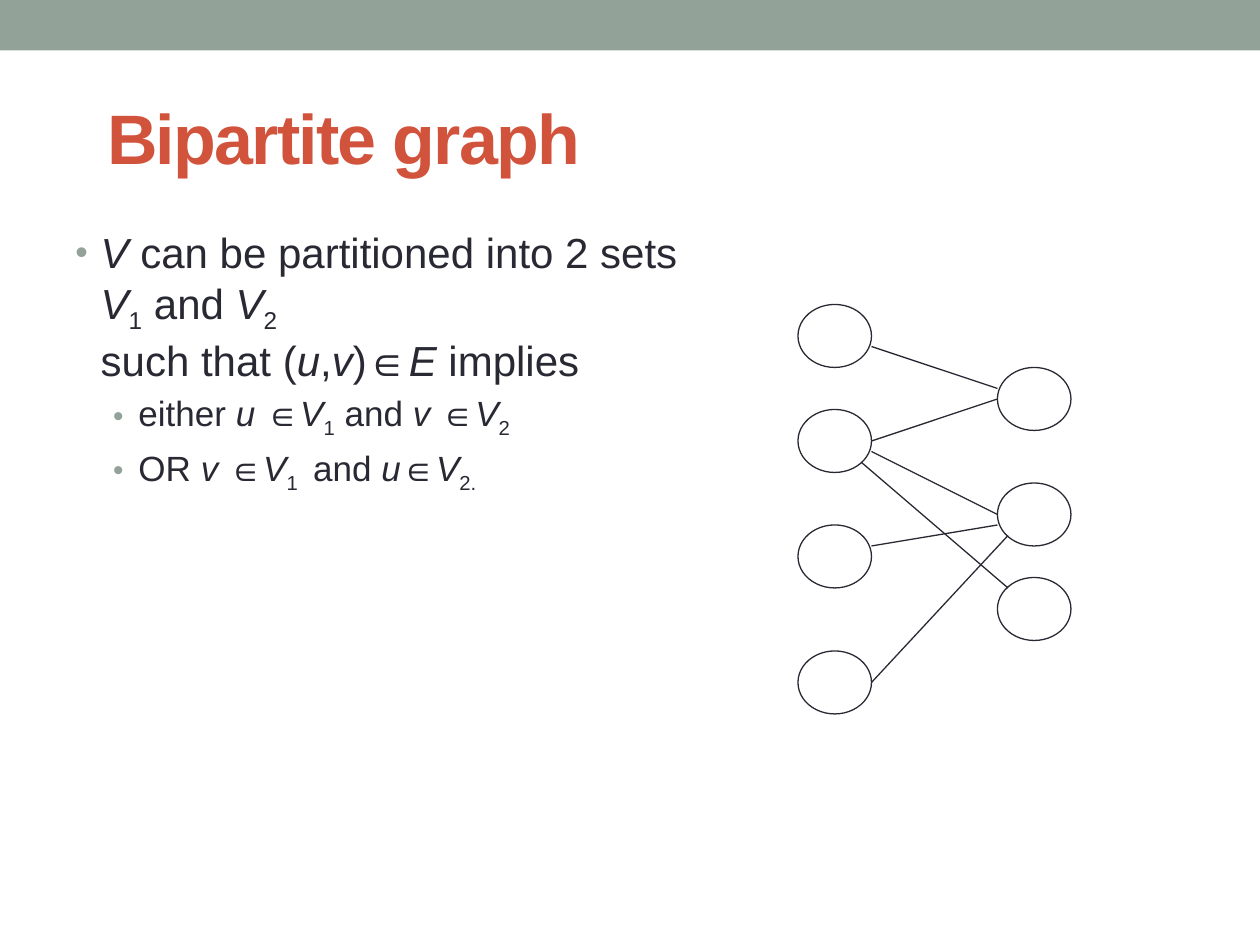
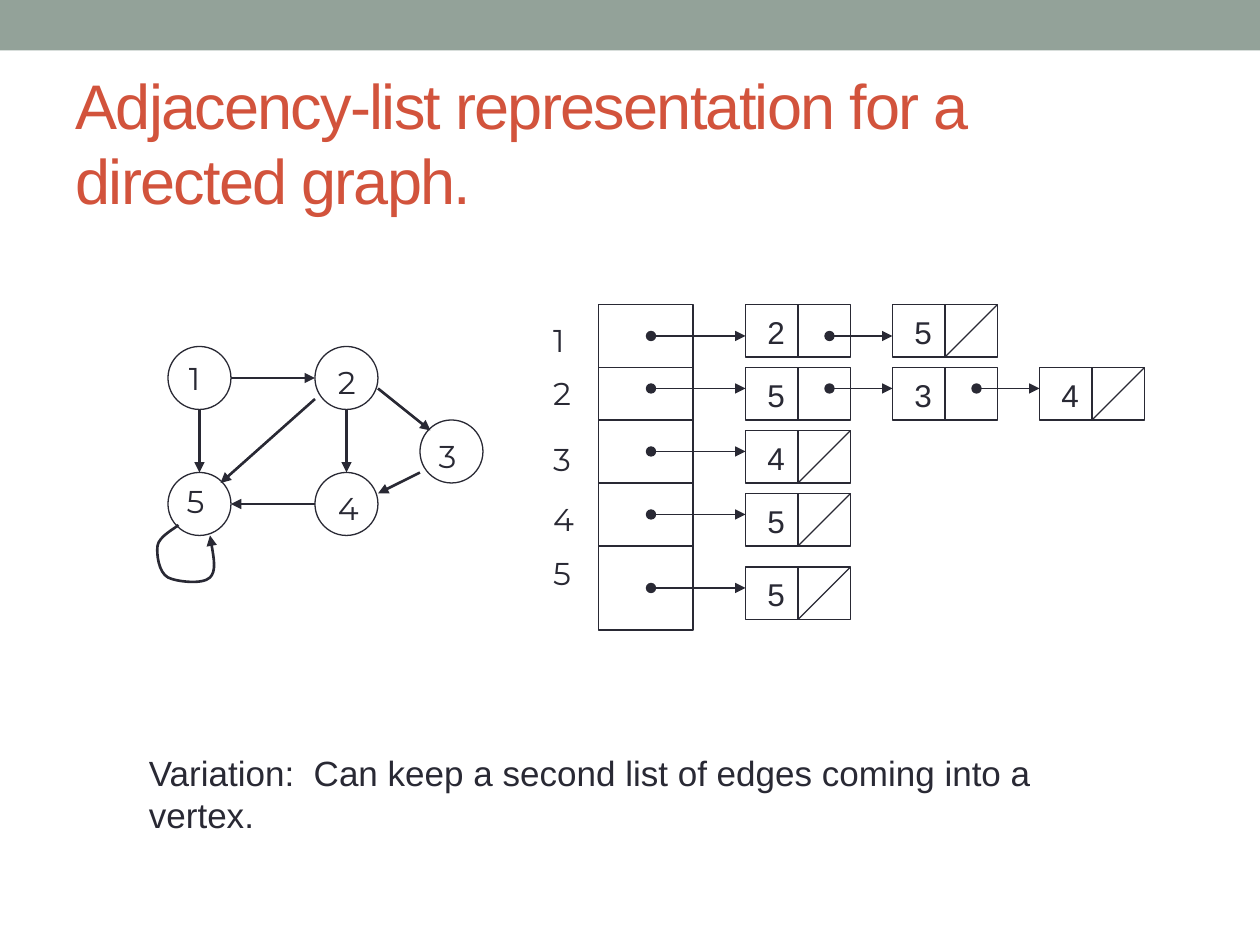
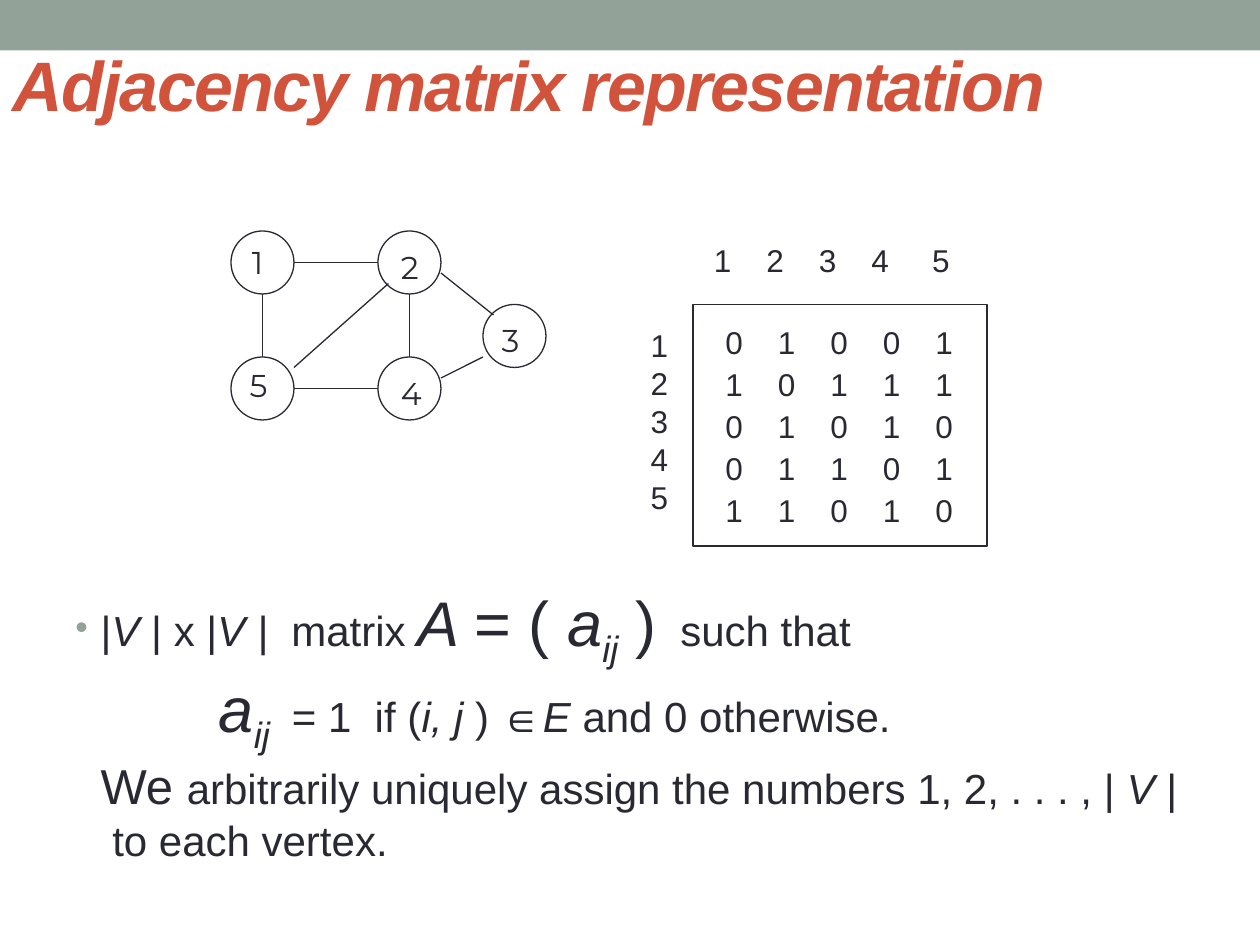
from lxml.etree import SubElement
from pptx import Presentation
from pptx.dml.color import RGBColor
from pptx.enum.shapes import MSO_CONNECTOR, MSO_SHAPE
from pptx.enum.text import MSO_ANCHOR, MSO_AUTO_SIZE, PP_ALIGN
from pptx.oxml.ns import qn
from pptx.util import Cm, Pt

COLORS = {"ink": "292934", "title": "D2533C", "band": "93A299"}
TEXT_FONT = "Arial"
NODE_FONT = "Montserrat"
NODE_PLACES = {"1": (0, 0), "2": (14, 0), "3": (24, 7), "4": (14, 12), "5": (0, 12)}
NODE_LABELS = {"1": (0.8, 0.6), "2": (1, 1), "3": (0.6, 1), "4": (1, 1), "5": (0.6, 0.3)}


def grid(steps):
    return Cm(steps * 2.54 / 12)


def color(name):
    return RGBColor.from_string(COLORS[name])


def set_font(font, size, name=TEXT_FONT, ink="ink"):
    font.name = name
    font.size = Pt(size)
    font.color.rgb = color(ink)


def outline(shape, width=0.75):
    shape.shadow.inherit = False
    shape.fill.background()
    shape.line.color.rgb = color("ink")
    shape.line.width = Pt(width)


def add_arrowheads(shape, head=None, tail=None):
    line = shape.line._get_or_add_ln()
    for tag, kind in (("a:headEnd", head), ("a:tailEnd", tail)):
        if kind:
            SubElement(line, qn(tag), type=kind)


def add_outlined(slide, preset, x, y, width, height):
    shape = slide.shapes.add_shape(preset, grid(x), grid(y), grid(width), grid(height))
    outline(shape)


def add_line(slide, x, y, start, end, width=0.75, head=None, tail=None):
    connector = slide.shapes.add_connector(
        MSO_CONNECTOR.STRAIGHT,
        grid(x + start[0]), grid(y + start[1]), grid(x + end[0]), grid(y + end[1]))
    connector.line.color.rgb = color("ink")
    connector.line.width = Pt(width)
    add_arrowheads(connector, head, tail)
    SubElement(connector.element.spPr, qn("a:effectLst"))


def add_tabs(paragraph, stops):
    tabs = SubElement(paragraph._p.get_or_add_pPr(), qn("a:tabLst"))
    for stop in stops:
        SubElement(tabs, qn("a:tab"), pos=str(grid(stop)), algn="l")


def add_text(slide, x, y, width, height, lines, size=18, font=TEXT_FONT, stops=()):
    box = slide.shapes.add_textbox(grid(x), grid(y), grid(width), grid(height))
    frame = box.text_frame
    frame.word_wrap = bool(stops)
    for index, line in enumerate(lines):
        paragraph = frame.add_paragraph() if index else frame.paragraphs[0]
        paragraph.text = line
        if stops:
            add_tabs(paragraph, stops)
        set_font(paragraph.font, size, font)


def add_bullet(paragraph, indent):
    props = paragraph._p.get_or_add_pPr()
    props.set("marL", str(Cm(indent)))
    props.set("indent", str(Cm(-0.51)))
    bullet_color = SubElement(props, qn("a:buClr"))
    SubElement(bullet_color, qn("a:srgbClr"), val=COLORS["band"])
    SubElement(props, qn("a:buSzPct"), val="85000")
    SubElement(props, qn("a:buFont"), typeface=TEXT_FONT)
    SubElement(props, qn("a:buChar"), char="•")


def add_body(slide, x, y, width, height, bullets, stops=()):
    box = slide.shapes.add_textbox(grid(x), grid(y), grid(width), grid(height))
    frame = box.text_frame
    frame.word_wrap = True
    for index, (indent, size, pieces) in enumerate(bullets):
        paragraph = frame.add_paragraph() if index else frame.paragraphs[0]
        paragraph.space_before = Pt(size * 0.2)
        add_bullet(paragraph, indent)
        if stops:
            add_tabs(paragraph, stops)
        set_font(paragraph.font, size)
        for words, style, *own_size in pieces:
            if words == "\v":
                paragraph.add_line_break()
                continue
            run = paragraph.add_run()
            run.text = words
            if "i" in style:
                run.font.italic = True
            if "s" in style:
                run.font._element.set("baseline", "-25000")
            if own_size:
                run.font.size = Pt(own_size[0])


def add_band(layout, slide):
    band = slide.shapes.add_shape(MSO_SHAPE.RECTANGLE, 0, 0, grid(120), Cm(1.02))
    band.shadow.inherit = False
    band.fill.solid()
    band.fill.fore_color.rgb = color("band")
    band.line.fill.background()
    layout.shapes.element.insert(2, band.element)


def add_title(slide, x, y, width, height, words, size, bold=False, italic=False):
    title = slide.shapes.title
    title.left, title.top = grid(x), grid(y)
    title.width, title.height = grid(width), grid(height)
    frame = title.text_frame
    frame.text = words
    frame.word_wrap = True
    frame.auto_size = MSO_AUTO_SIZE.NONE
    frame.vertical_anchor = MSO_ANCHOR.MIDDLE
    paragraph = frame.paragraphs[0]
    paragraph.alignment = PP_ALIGN.LEFT
    set_font(paragraph.font, size, ink="title")
    paragraph.font.bold = bold
    paragraph.font.italic = italic
    paragraph.font._element.set("spc", "-100")


def add_bipartite_graph(slide, x, y):
    for column, tops in ((0, (0, 10, 21, 33)), (19, (6, 17, 26))):
        for top in tops:
            add_outlined(slide, MSO_SHAPE.OVAL, x + column, y + top, 7, 6)
    edges = (((7, 4), (19, 8)), ((19, 9), (7, 13)), ((7, 36), (20, 22)),
             ((7, 23), (19, 21)), ((7, 14), (19, 20)), ((6, 15), (20, 27)))
    for start, end in edges:
        add_line(slide, x, y, start, end)


def add_five_node_graph(slide, x, y, diagonal, directed):
    for left, top in NODE_PLACES.values():
        add_outlined(slide, MSO_SHAPE.OVAL, x + left, y + top, 6, 6)
    edges = (diagonal, ((3, 6), (3, 12)), ((6, 3), (14, 3)), ((14, 15), (6, 15)),
             ((17, 6), (17, 12)), ((20, 4), (25, 8)), ((24, 12), (20, 14)))
    for start, end in edges:
        add_line(slide, x, y, start, end, 1.5 if directed else 0.75,
                 tail="triangle" if directed else None)
    for number, (left, top) in NODE_PLACES.items():
        dx, dy = NODE_LABELS[number]
        add_text(slide, x + left + dx, y + top + dy, 4.4, 4.8, [number], font=NODE_FONT)


def add_self_loop(slide, x, y):
    points = [(4, 18), (4.3, 19.7), (4.6, 21.4), (4, 22), (3.3, 22.7), (0.8, 22.4),
              (0, 22), (-0.9, 21.5), (-1.1, 19.8), (-1, 19), (-0.9, 18.1), (0.7, 17.3), (1, 17)]
    corners = [(grid(x + left), grid(y + top)) for left, top in points]
    builder = slide.shapes.build_freeform(*corners[0])
    builder.add_line_segments(corners[1:], close=False)
    loop = builder.convert_to_shape()
    outline(loop, 1.5)
    add_arrowheads(loop, head="triangle")
    route = next(loop.element.iter(qn("a:path")))
    segments = route.findall(qn("a:lnTo"))
    for first in range(0, len(segments), 3):
        curve = SubElement(route, qn("a:cubicBezTo"))
        for segment in segments[first:first + 3]:
            curve.append(segment[0])
            route.remove(segment)


def add_list_cell(slide, x, y, number, is_last):
    add_outlined(slide, MSO_SHAPE.RECTANGLE, x, y, 10, 5)
    add_line(slide, x, y, (5, 0), (5, 5))
    add_text(slide, x + 0.9, y + 0.2, 4.1, 4.8, [number])
    if is_last:
        add_line(slide, x, y, (5, 5), (10, 0))


def add_adjacency_lists(slide, x, y):
    add_outlined(slide, MSO_SHAPE.RECTANGLE, x, y, 9, 31)
    for divider in (6, 11, 17, 23):
        add_line(slide, x, y, (0, divider), (9, divider))
    rows = (("1", "25", 1, 0, 3), ("2", "534", 6, 6, 8), ("3", "4", 12.3, 12, 14),
            ("4", "5", 18, 18, 20), ("5", "5", 23.2, 25, 27))
    for vertex, neighbours, label_top, cell_top, arrow_y in rows:
        add_text(slide, x - 5.5, y + label_top, 4.4, 4.8, [vertex], font=NODE_FONT)
        for index, neighbour in enumerate(neighbours):
            left = 14 + 14 * index
            add_list_cell(slide, x + left, y + cell_top, neighbour,
                          index == len(neighbours) - 1)
            start = left - 6 if index else 5
            add_line(slide, x, y, (start, arrow_y), (left, arrow_y),
                     head="oval", tail="triangle")


def add_matrix(slide, x, y):
    add_outlined(slide, MSO_SHAPE.RECTANGLE, x, y, 28, 23)
    add_text(slide, x + 0.8, y - 6.6, 26, 4.8, ["\t".join("12345")], stops=(5, 10, 15, 20.8))
    add_text(slide, x - 5.2, y + 1.5, 4.1, 19.2, list("12345"))
    for index, row in enumerate(("01001", "10111", "01010", "01101", "11010")):
        add_text(slide, x + 1.9, y + 1.2 + 4 * index, 25, 4.8, ["\t".join(row)],
                 stops=(5, 10, 15, 20))


def build_bipartite_slide(slide):
    add_title(slide, 9, 8, 102, 10, "Bipartite graph", 40, bold=True)
    add_body(slide, 6, 21, 64, 59.4, [
        (0.51, 24, [("V", "i"), (" can be partitioned into 2 sets ", ""), ("V", "i"),
                    ("1", "s"), (" and ", ""), ("V", "i"), ("2 ", "s"), ("\v", ""),
                    ("such that (", ""), ("u", "i"), (",", ""), ("v", "i"), (")∈", ""),
                    ("E", "i"), (" implies ", "")]),
        (1.27, 20, [("either ", ""), ("u ", "i"), ("∈", ""), ("V", "i"), ("1", "s"),
                    (" and ", ""), ("v ", "i"), ("∈", ""), ("V", "i"), ("2 ", "s")]),
        (1.27, 20, [("OR ", ""), ("v ", "i"), ("∈", ""), ("V", "i"), ("1 ", "s"),
                    (" and ", ""), ("u", "i"), ("∈", ""), ("V", "i"), ("2.", "s")]),
    ])
    add_bipartite_graph(slide, 76, 29)


def build_list_slide(slide):
    add_title(slide, 6, 7, 108, 13,
              "Adjacency-list representation for a directed graph.", 36)
    add_five_node_graph(slide, 16, 33, ((14, 5), (5, 13)), directed=True)
    add_self_loop(slide, 16, 33)
    add_adjacency_lists(slide, 57, 29)
    add_text(slide, 13, 71, 97.3, 5.2,
             ["Variation:  Can keep a second list of edges coming into a vertex."], 20)


def build_matrix_slide(slide):
    add_title(slide, 0, 2, 120, 12, "Adjacency matrix representation", 40,
              bold=True, italic=True)
    add_body(slide, 6, 55, 108, 32, [
        (0.51, 24, [("|", ""), ("V", "i"), (" | x |", ""), ("V |", "i"), ("  matrix ", ""),
                    ("A ", "i", 36), ("= ( ", "", 36), ("a", "i", 36), ("ij", "is", 36),
                    (" )", "", 36), ("  such that", ""), ("\v", ""), ("\t", ""),
                    (" ", "", 36), ("a", "i", 36), ("ij ", "is", 36), (" = 1  if (", ""),
                    ("i, j", "i"), (" ) ∈", ""), ("E", "i"), (" and 0 otherwise.", ""),
                    ("\v", ""), ("We ", "", 28),
                    ("arbitrarily uniquely assign the numbers 1, 2, . . . , | ", ""),
                    ("V", "i"), (" |  to each vertex.", "")]),
    ], stops=(12,))
    add_five_node_graph(slide, 22, 22, ((6, 13), (15, 5)), directed=False)
    add_matrix(slide, 66, 29)


deck = Presentation()
deck.slide_width, deck.slide_height = grid(120), grid(90)
title_only = deck.slide_layouts[5]
builders = (build_bipartite_slide, build_list_slide, build_matrix_slide)
slides = [deck.slides.add_slide(title_only) for _ in builders]
add_band(title_only, slides[0])
for build, slide in zip(builders, slides):
    build(slide)
deck.save("out.pptx")
